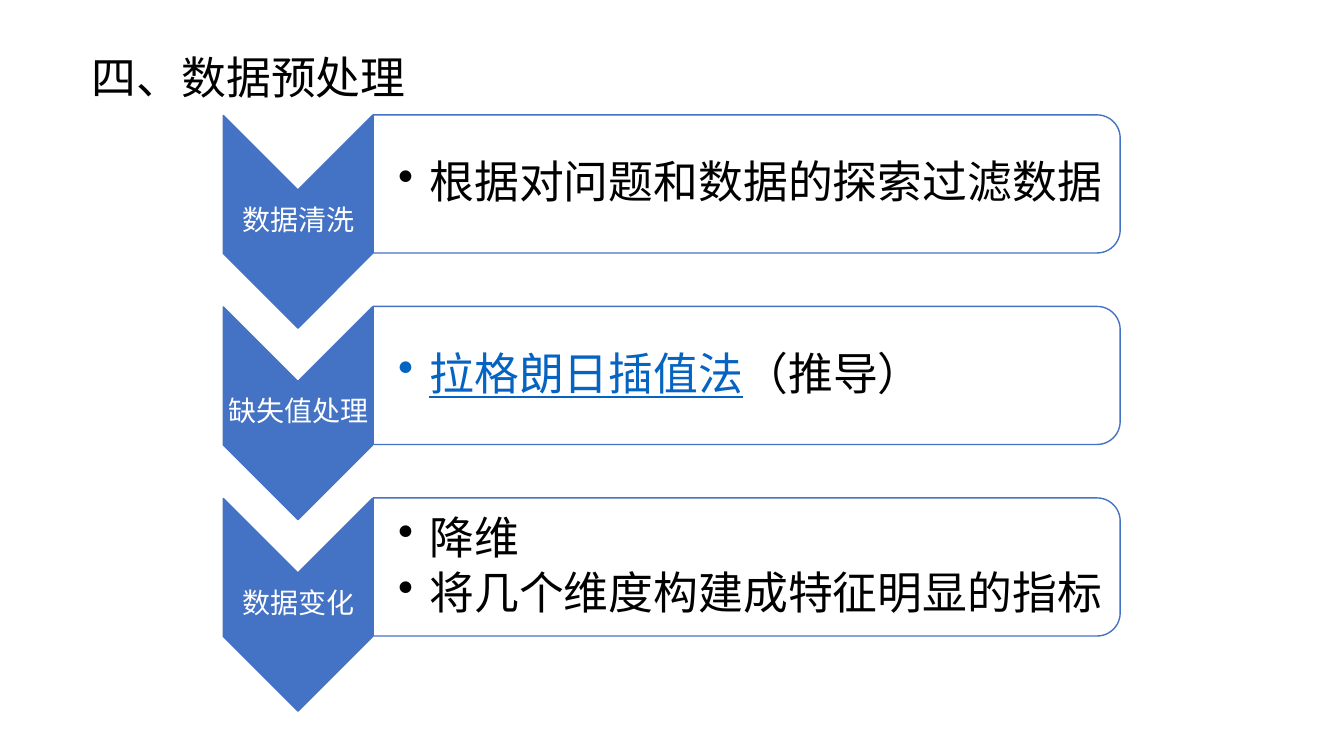
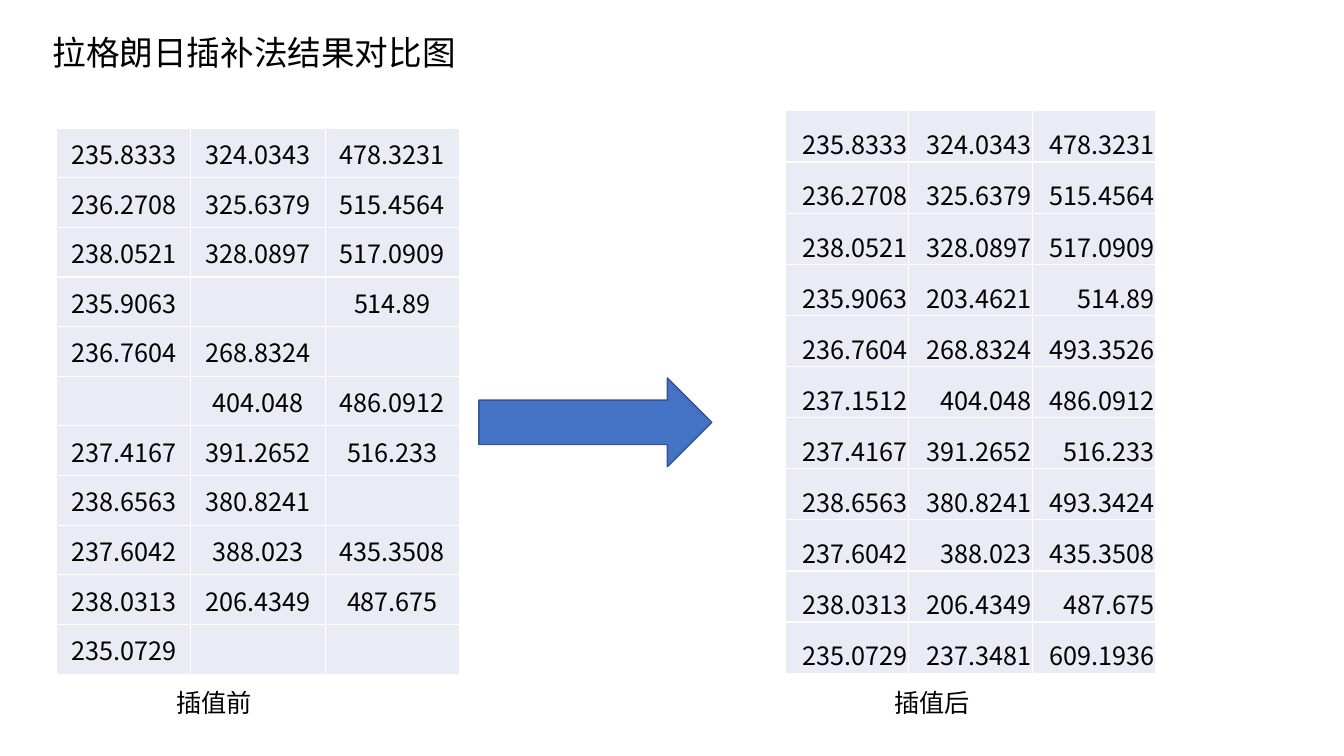
from lxml.etree import SubElement
from pptx import Presentation
from pptx.dml.color import RGBColor
from pptx.enum.shapes import MSO_SHAPE as Shape
from pptx.enum.text import MSO_ANCHOR as Anchor, MSO_AUTO_SIZE as AutoSize, PP_ALIGN as Align
from pptx.oxml.ns import qn
from pptx.util import Emu, Pt

PX = 9144
FONT = "Noto Sans CJK SC"
COLORS = {
    "text": "000000",
    "white": "FFFFFF",
    "blue": "4472C4",
    "arrow_line": "325491",
    "link": "0563C1",
    "cell": "E9EBF5",
}
TITLE_ONLY = 5

STEPS = [
    ("数据清洗", [[("根据对问题和数据的探索过滤数据", "text")]]),
    ("缺失值处理", [[("拉格朗日插值法", "link"), ("（推导）", "text")]]),
    ("数据变化", [[("降维", "text")], [("将几个维度构建成特征明显的指标", "text")]]),
]
STEP_TOP, STEP_PITCH = 121, 190
STEP_LEFT, CHEVRON_WIDTH, CHEVRON_HEIGHT = 222, 148, 211
PANEL_WIDTH, PANEL_HEIGHT = 741, 137

AFTER = [
    ["235.8333", "324.0343", "478.3231"],
    ["236.2708", "325.6379", "515.4564"],
    ["238.0521", "328.0897", "517.0909"],
    ["235.9063", "203.4621", "514.89"],
    ["236.7604", "268.8324", "493.3526"],
    ["237.1512", "404.048", "486.0912"],
    ["237.4167", "391.2652", "516.233"],
    ["238.6563", "380.8241", "493.3424"],
    ["237.6042", "388.023", "435.3508"],
    ["238.0313", "206.4349", "487.675"],
    ["235.0729", "237.3481", "609.1936"],
]
MISSING = {(3, 1), (4, 2), (5, 0), (7, 2), (10, 1), (10, 2)}
BEFORE = [
    ["" if (row, column) in MISSING else value for column, value in enumerate(values)]
    for row, values in enumerate(AFTER)
]


def px(*lengths):
    return [Emu(length * PX) for length in lengths]


def color(name):
    return RGBColor.from_string(COLORS[name])


def format_font(font, size, color_name="text"):
    font.name = FONT
    font.size = Pt(size)
    font.color.rgb = color(color_name)
    properties = font._element
    east_asian = properties.find(qn("a:ea"))
    if east_asian is None:
        east_asian = properties.makeelement(qn("a:ea"), {})
        properties.find(qn("a:latin")).addnext(east_asian)
    east_asian.set("typeface", FONT)


def set_margins(target, left, top, right, bottom):
    target.margin_left, target.margin_top, target.margin_right, target.margin_bottom = px(
        left, top, right, bottom)


def add_slide(presentation, title, box, size):
    slide = presentation.slides.add_slide(presentation.slide_layouts[TITLE_ONLY])
    shape = slide.shapes.title
    shape.left, shape.top, shape.width, shape.height = px(*box)
    text_frame = shape.text_frame
    text_frame.text = title
    text_frame.word_wrap = True
    text_frame.auto_size = AutoSize.NONE
    text_frame.vertical_anchor = Anchor.TOP
    paragraph = text_frame.paragraphs[0]
    paragraph.alignment = Align.LEFT
    format_font(paragraph.runs[0].font, size)
    return slide


def add_shape(slide, kind, box, fill, line, rotation=0):
    shape = slide.shapes.add_shape(kind, *px(*box))
    shape.rotation = rotation
    shape.shadow.inherit = False
    shape.fill.solid()
    shape.fill.fore_color.rgb = color(fill)
    shape.line.color.rgb = color(line)
    shape.line.width = Pt(1)
    return shape


def add_turned_shape(slide, kind, left, top, width, height, fill):
    shift = (width - height) // 2
    box = (left + shift, top - shift, height, width)
    return add_shape(slide, kind, box, fill, "blue", 90)


def add_text(slide, box, text, size, color_name="text"):
    text_frame = slide.shapes.add_textbox(*px(*box)).text_frame
    text_frame.word_wrap = True
    text_frame.text = text
    format_font(text_frame.paragraphs[0].runs[0].font, size, color_name)
    return text_frame


def add_bullets(slide, box, bullets):
    text_frame = slide.shapes.add_textbox(*px(*box)).text_frame
    text_frame.word_wrap = True
    text_frame.vertical_anchor = Anchor.MIDDLE
    set_margins(text_frame, 25, 2, 2, 2)
    for index, parts in enumerate(bullets):
        paragraph = text_frame.add_paragraph() if index else text_frame.paragraphs[0]
        paragraph.line_spacing = 0.9
        paragraph.space_after = Pt(5)
        properties = paragraph._p.get_or_add_pPr()
        properties.set("marL", str(31 * PX))
        properties.set("indent", str(-31 * PX))
        SubElement(properties, qn("a:buChar"), char="•")
        for text, color_name in parts:
            run = paragraph.add_run()
            run.text = text
            format_font(run.font, 32, color_name)
            run.font.underline = color_name == "link"


def add_step(slide, top, label, bullets):
    add_turned_shape(slide, Shape.CHEVRON, STEP_LEFT, top - 7, CHEVRON_WIDTH, CHEVRON_HEIGHT, "blue")
    label_frame = add_text(slide, (STEP_LEFT, top + 67, CHEVRON_WIDTH, 63), label, 20, "white")
    set_margins(label_frame, 1, 1, 1, 1)
    label_frame.vertical_anchor = Anchor.MIDDLE
    label_frame.paragraphs[0].alignment = Align.CENTER
    label_frame.paragraphs[0].line_spacing = 0.9
    panel_left = STEP_LEFT + CHEVRON_WIDTH
    add_turned_shape(slide, Shape.ROUND_2_SAME_RECTANGLE, panel_left, top - 7,
                     PANEL_WIDTH, PANEL_HEIGHT, "white")
    add_bullets(slide, (panel_left, top, 734, 124), bullets)


def add_borders(cell):
    properties = cell._tc.get_or_add_tcPr()
    for index, side in enumerate(("lnL", "lnR", "lnT", "lnB")):
        line = properties.makeelement(qn(f"a:{side}"), {"w": str(Pt(1))})
        fill = SubElement(line, qn("a:solidFill"))
        SubElement(fill, qn("a:srgbClr"), val=COLORS["white"])
        properties.insert(index, line)


def add_table(slide, box, rows, alignment, anchor):
    table = slide.shapes.add_table(len(rows), len(rows[0]), *px(*box)).table
    table.first_row = False
    table.horz_banding = False
    for row, values in enumerate(rows):
        for column, value in enumerate(values):
            cell = table.cell(row, column)
            cell.fill.solid()
            cell.fill.fore_color.rgb = color("cell")
            cell.vertical_anchor = anchor
            set_margins(cell, 1, 1, 1, 0)
            add_borders(cell)
            paragraph = cell.text_frame.paragraphs[0]
            paragraph.alignment = alignment
            if value:
                paragraph.text = value
                format_font(paragraph.runs[0].font, 18)


def build_preprocessing(presentation):
    slide = add_slide(presentation, "四、数据预处理", (81, 44, 775, 64), 32)
    for index, (label, bullets) in enumerate(STEPS):
        add_step(slide, STEP_TOP + index * STEP_PITCH, label, bullets)


def build_comparison(presentation):
    slide = add_slide(presentation, "拉格朗日插补法结果对比图", (42, 27, 452, 50), 24)
    add_table(slide, (56, 127, 400, 542), BEFORE, Align.CENTER, Anchor.MIDDLE)
    add_table(slide, (779, 110, 367, 558), AFTER, Align.RIGHT, Anchor.BOTTOM)
    for left, caption in ((165, "插值前"), (877, "插值后")):
        add_text(slide, (left, 677, 269, 40), caption, 18)
    add_shape(slide, Shape.RIGHT_ARROW, (475, 375, 231, 88), "blue", "arrow_line")


def main():
    presentation = Presentation()
    presentation.slide_width, presentation.slide_height = px(1333, 750)
    build_preprocessing(presentation)
    build_comparison(presentation)
    presentation.save("out.pptx")


if __name__ == "__main__":
    main()
